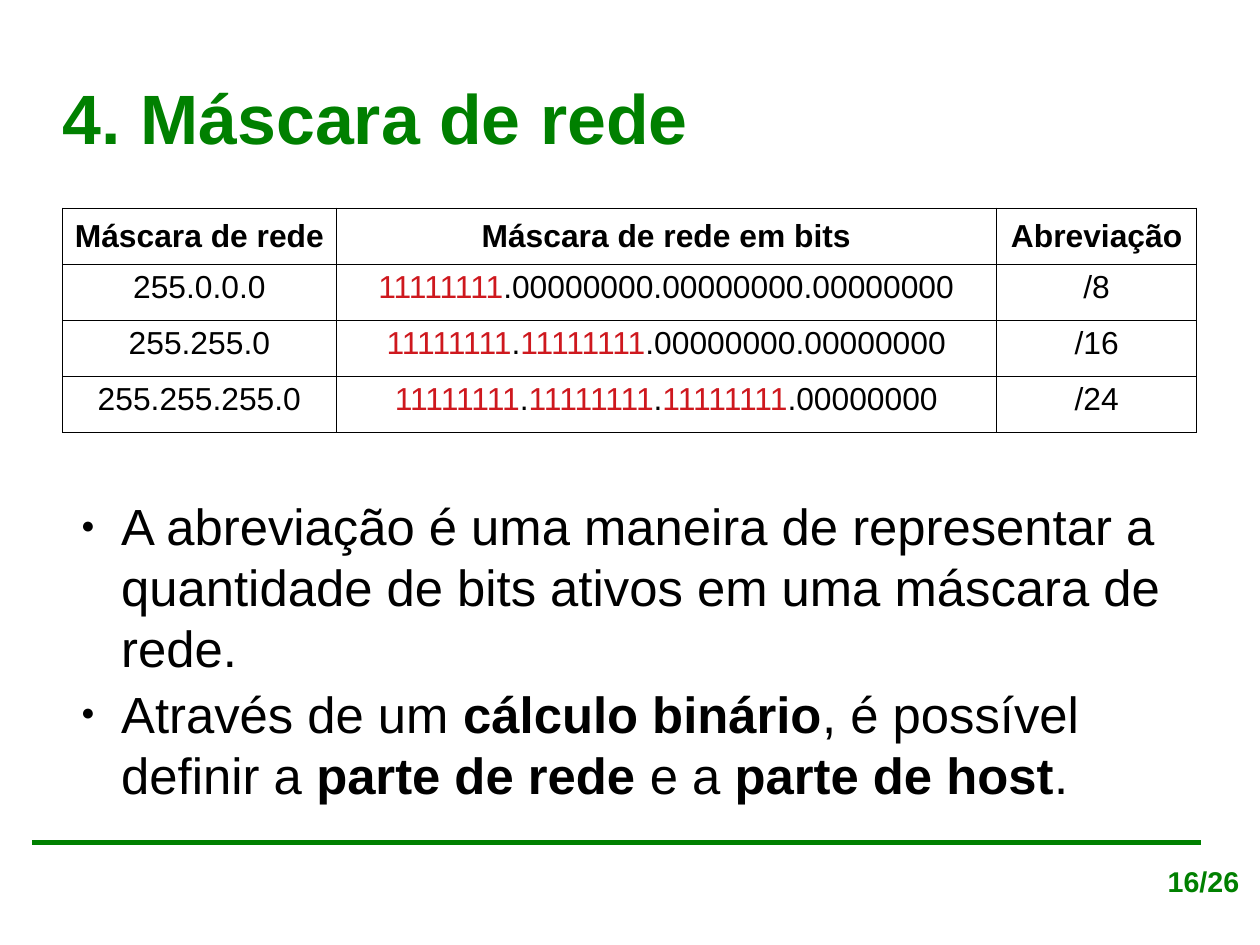
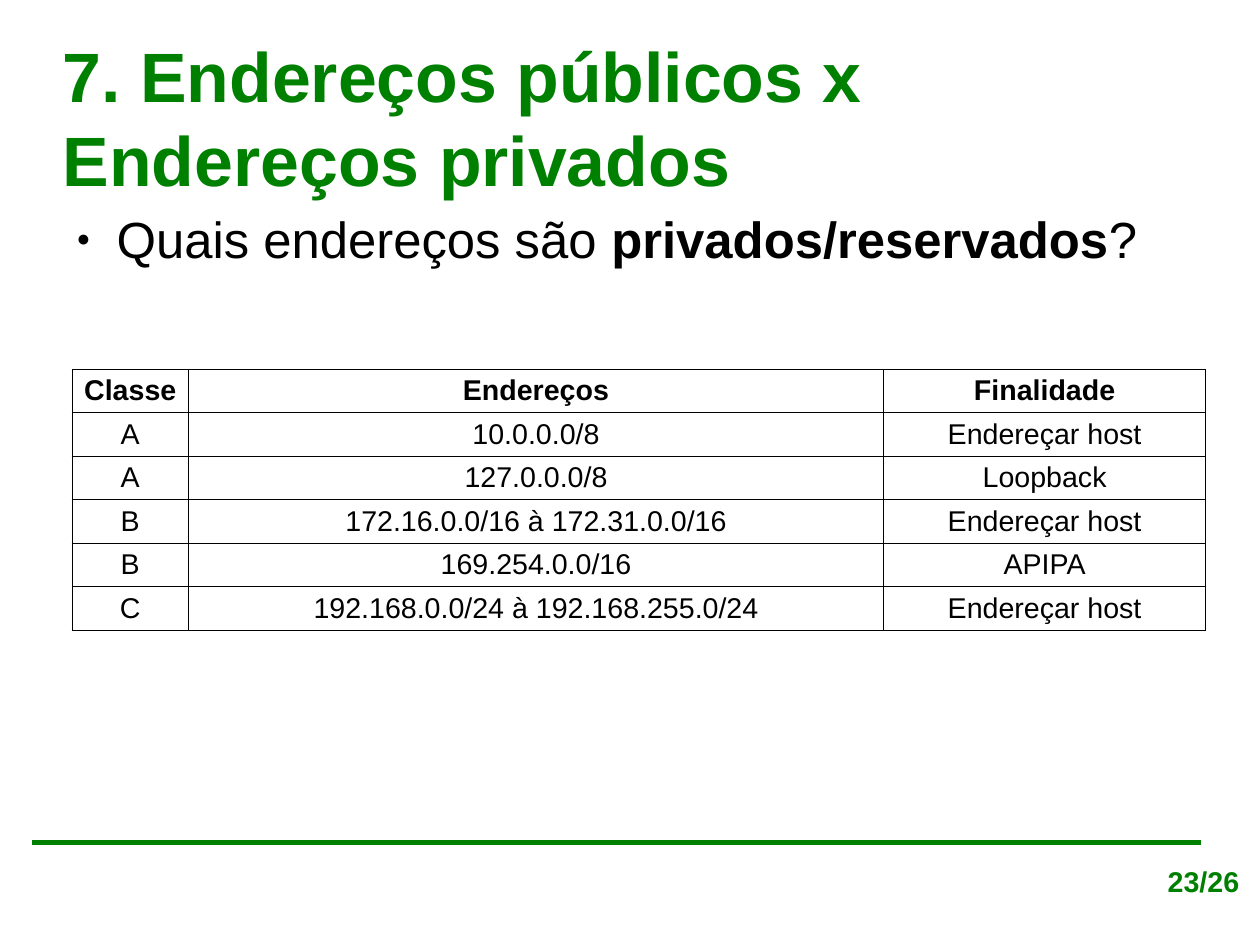
from pptx import Presentation
from pptx.dml.color import RGBColor
from pptx.enum.shapes import MSO_CONNECTOR
from pptx.enum.text import MSO_ANCHOR, MSO_AUTO_SIZE, PP_ALIGN
from pptx.oxml.ns import qn
from pptx.util import Cm, Inches, Pt
from lxml import etree

LEFT, CENTER, RIGHT = PP_ALIGN.LEFT, PP_ALIGN.CENTER, PP_ALIGN.RIGHT
TOP, MIDDLE = MSO_ANCHOR.TOP, MSO_ANCHOR.MIDDLE

# Content: text between asterisks is emphasised (bold in bullets, red in cells)
TOTAL_SLIDES = 26
SLIDES = [
    {
        "title": "4. Máscara de rede",
        "number": 16,
        "bullets": [
            "A abreviação é uma maneira de representar a quantidade de bits "
            "ativos em uma máscara de rede.",
            "Através de um *cálculo binário*, é possível definir a "
            "*parte de rede* e a *parte de host*.",
        ],
        "bullets_at": (0.59, 4.33),
        "table": [
            ("Máscara de rede", "Máscara de rede em bits", "Abreviação"),
            ("255.0.0.0", "*11111111*.00000000.00000000.00000000", "/8"),
            ("255.255.0", "*11111111*.*11111111*.00000000.00000000", "/16"),
            ("255.255.255.0", "*11111111*.*11111111*.*11111111*.00000000", "/24"),
        ],
        "table_at": (0.55, 1.82),
        "columns": (2.39, 5.78, 1.75),
        "row_height": 0.49,
        "table_size": 20,
        "header_anchor": MIDDLE,
    },
    {
        "title": "7. Endereços públicos x Endereços privados",
        "number": 23,
        "bullets": ["Quais endereços são *privados/reservados*?"],
        "bullets_at": (0.55, 1.82),
        "table": [
            ("Classe", "Endereços", "Finalidade"),
            ("A", "10.0.0.0/8", "Endereçar host"),
            ("A", "127.0.0.0/8", "Loopback"),
            ("B", "172.16.0.0/16 à 172.31.0.0/16", "Endereçar host"),
            ("B", "169.254.0.0/16", "APIPA"),
            ("C", "192.168.0.0/24 à 192.168.255.0/24", "Endereçar host"),
        ],
        "table_at": (0.63, 3.23),
        "columns": (1.02, 6.08, 2.82),
        "row_height": 0.38,
        "table_size": 18,
        "header_anchor": TOP,
    },
]


class Theme:
    font = "Arial"
    green = RGBColor(0x00, 0x80, 0x00)
    red = RGBColor(0xCE, 0x18, 0x1E)
    black = RGBColor(0x00, 0x00, 0x00)
    title_size, body_size, footer_size = 44, 32, 18
    rule_width, border_width = 2.83, 0.57


# Shared geometry: the slide in centimetres, the rest in inches
SLIDE_SIZE = (28, 21)
CONTENT_WIDTH = 9.92
TITLE_BOX = (0.55, 0.33, CONTENT_WIDTH, 1.38)
BULLETS_HEIGHT = 2.6
RULE = (0.28, 7.37, 10.51, 7.37)
NUMBER_BOX = (7.15, 7.51, 3.79, 0.56)
HANGING = (0.47, -0.35)


def inches(values):
    return [Inches(value) for value in values]


def set_format(target, **values):
    for name, value in values.items():
        setattr(target, name, value)


def write(paragraph, text, size, color=Theme.black, bold=False,
          alignment=LEFT, emphasis=None):
    """Fill a paragraph; every second part between asterisks is emphasised."""
    paragraph.alignment = alignment
    for index, part in enumerate(text.split("*")):
        if not part:
            continue
        look = {"color": color, "bold": bold}
        if index % 2:
            look.update(emphasis)
        run = paragraph.add_run()
        run.text = part
        set_format(run.font, name=Theme.font, size=Pt(size), bold=look["bold"])
        run.font.color.rgb = look["color"]


def set_frame(frame, anchor=TOP, margins=(0, 0)):
    side, end = inches(margins)
    set_format(frame, word_wrap=True, auto_size=MSO_AUTO_SIZE.NONE,
               vertical_anchor=anchor, margin_left=side, margin_right=side,
               margin_top=end, margin_bottom=end)


def add_title(slide, text):
    title = slide.shapes.title
    set_format(title, **dict(zip(("left", "top", "width", "height"), inches(TITLE_BOX))))
    set_frame(title.text_frame, MIDDLE)
    write(title.text_frame.paragraphs[0], text, Theme.title_size, Theme.green, bold=True)


def add_footer(slide, number):
    rule = slide.shapes.add_connector(MSO_CONNECTOR.STRAIGHT, *inches(RULE))
    rule.line.color.rgb = Theme.green
    rule.line.width = Pt(Theme.rule_width)
    etree.SubElement(rule._element.spPr, qn("a:effectLst"))
    box = slide.shapes.add_textbox(*inches(NUMBER_BOX))
    set_frame(box.text_frame, margins=(0.1, 0.05))
    write(box.text_frame.paragraphs[0], f"{number}/{TOTAL_SLIDES}",
          Theme.footer_size, Theme.green, bold=True, alignment=RIGHT)


def add_bullet(paragraph):
    properties = paragraph._p.get_or_add_pPr()
    for name, value in zip(("marL", "indent"), inches(HANGING)):
        properties.set(name, str(value))
    for tag, name, value in (("a:buSzPct", "val", "45000"),
                             ("a:buFont", "typeface", Theme.font),
                             ("a:buChar", "char", "●")):
        etree.SubElement(properties, qn(tag)).set(name, value)


def add_bullets(slide, texts, position):
    box = slide.shapes.add_textbox(*inches((*position, CONTENT_WIDTH, BULLETS_HEIGHT)))
    frame = box.text_frame
    set_frame(frame)
    for index, text in enumerate(texts):
        paragraph = frame.add_paragraph() if index else frame.paragraphs[0]
        paragraph.space_after = Pt(2.8)
        add_bullet(paragraph)
        write(paragraph, text, Theme.body_size, emphasis={"bold": True})


def add_borders(cell):
    properties = cell._tc.get_or_add_tcPr()
    for index, side in enumerate(("a:lnL", "a:lnR", "a:lnT", "a:lnB")):
        line = etree.Element(qn(side), w=str(Pt(Theme.border_width)))
        fill = etree.SubElement(line, qn("a:solidFill"))
        etree.SubElement(fill, qn("a:srgbClr")).set("val", str(Theme.black))
        properties.insert(index, line)


def add_table(slide, content):
    rows, columns = content["table"], content["columns"]
    height = content["row_height"]
    place = (*content["table_at"], sum(columns), height * len(rows))
    table = slide.shapes.add_table(len(rows), len(columns), *inches(place)).table
    set_format(table, first_row=False, horz_banding=False)
    for column, width in zip(table.columns, columns):
        column.width = Inches(width)
    for row_index, (row, texts) in enumerate(zip(table.rows, rows)):
        row.height = Inches(height)
        header = row_index == 0
        for cell, text in zip(row.cells, texts):
            cell.fill.background()
            add_borders(cell)
            cell.vertical_anchor = content["header_anchor"] if header else TOP
            write(cell.text_frame.paragraphs[0], text, content["table_size"],
                  bold=header, alignment=CENTER, emphasis={"color": Theme.red})


# Build the slides
presentation = Presentation()
presentation.slide_width, presentation.slide_height = [Cm(size) for size in SLIDE_SIZE]
title_only = presentation.slide_layouts[5]
for content in SLIDES:
    slide = presentation.slides.add_slide(title_only)
    add_footer(slide, content["number"])
    add_title(slide, content["title"])
    add_bullets(slide, content["bullets"], content["bullets_at"])
    add_table(slide, content)
presentation.save("out.pptx")
